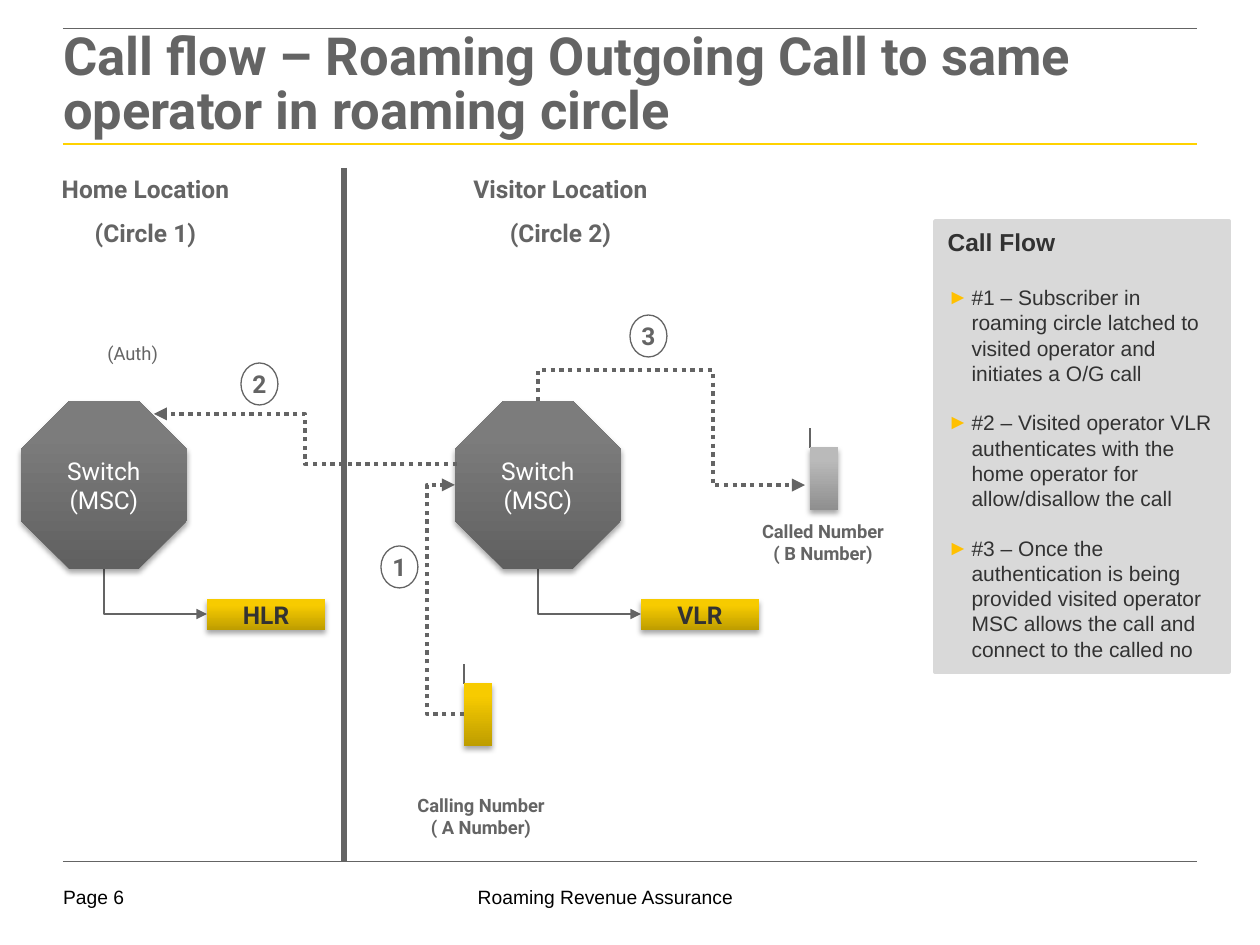
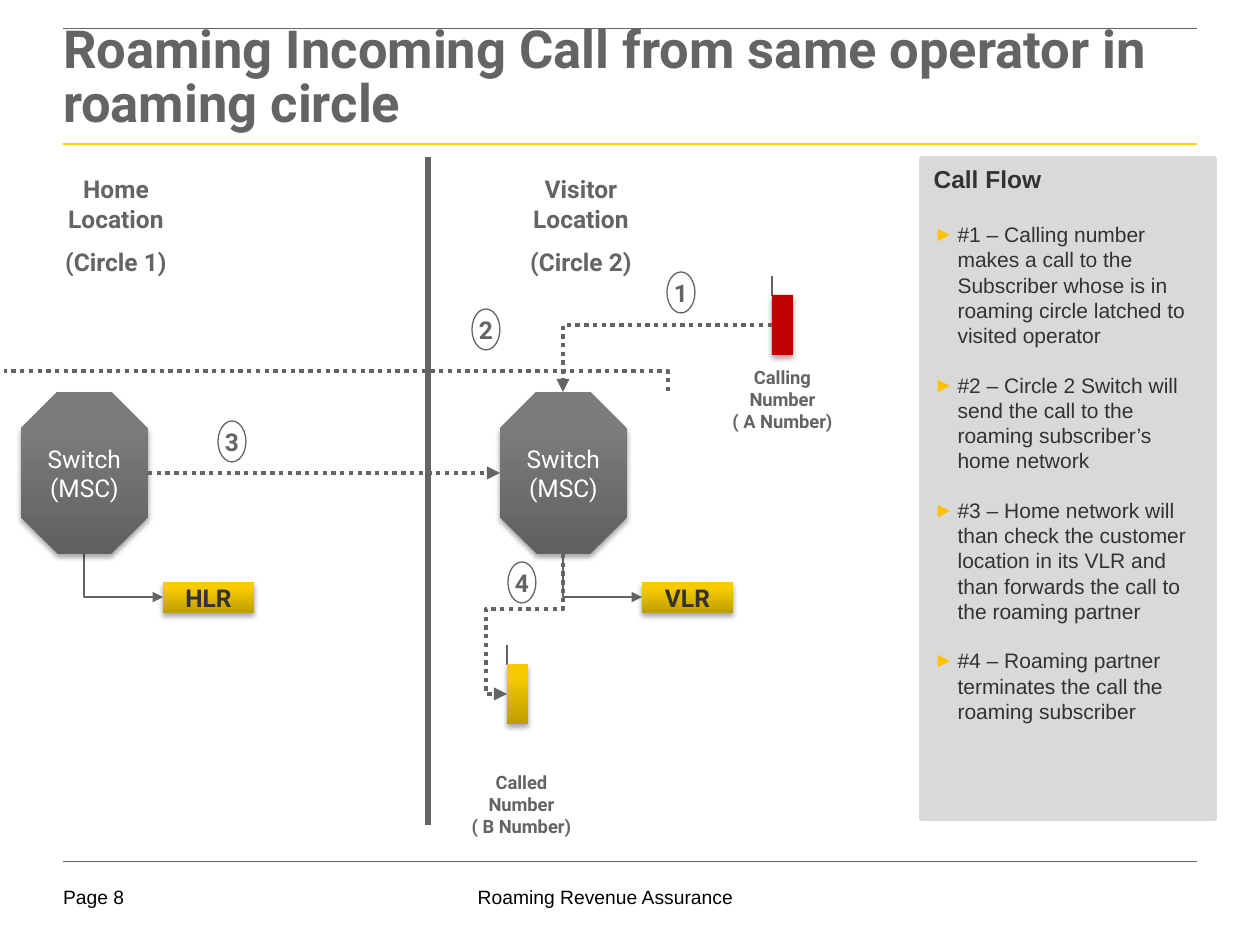
from lxml import etree
from pptx import Presentation
from pptx.dml.color import RGBColor
from pptx.enum.dml import MSO_LINE
from pptx.enum.shapes import MSO_CONNECTOR, MSO_SHAPE
from pptx.enum.text import MSO_ANCHOR, MSO_AUTO_SIZE, PP_ALIGN
from pptx.oxml.ns import qn
from pptx.util import Pt

PX = 7257  # EMU in one px, 126 px to the inch
OCTAGON, BAR, OVAL = MSO_SHAPE.OCTAGON, MSO_SHAPE.RECTANGLE, MSO_SHAPE.OVAL
LEFT, CENTER = PP_ALIGN.LEFT, PP_ALIGN.CENTER
STRAIGHT, ELBOW = MSO_CONNECTOR.STRAIGHT, MSO_CONNECTOR.ELBOW
DOTTED = MSO_LINE.ROUND_DOT


class Theme:
    GREY, RULE, PANEL, BULLET = "646464", "FFD200", "D9D9D9", "FFC000"
    # Fills: one colour, or bottom and top of a gradient
    STEEL, SILVER = ("606060", "7C7C7C"), ("8F8F8F", "BABABA")
    GOLD, RED = ("BE9D00", "F7CB00"), ("C00000",)
    # Text looks: font, size, colour, bold
    TITLE = ("Roboto", 30, GREY, True)
    HEADING = ("Roboto", 14, GREY, True)
    SWITCH = ("Roboto", 14, "FFFFFF", False)
    REGISTER = ("Roboto", 14, "323232", True)
    CAPTION = ("Roboto", 10.5, GREY, True)
    NOTE = ("Roboto", 10.5, GREY, False)
    LIST_HEAD = ("Arial", 14, "323232", True)
    LIST = ("Arial", 12, "323232", False)
    FOOTER = ("Arial", 11, "000000", False)


def style(para, look, align=CENTER, gap=0):
    font = para.font
    font.name, size, color, font.bold = look
    font.size = Pt(size)
    font.color.rgb = RGBColor.from_string(color)
    para.alignment = align
    para.space_before = Pt(gap)


def connect(page, points, width, color=Theme.GREY, dash=None, arrow=False):
    """Draw one connector through right-angled points, starting in either direction."""
    (x0, y0), (x1, y1) = points[0], points[-1]
    legs = len(points) - 1
    line = page.shapes.add_connector(
        STRAIGHT if legs == 1 else ELBOW, x0 * PX, y0 * PX, x1 * PX, y1 * PX)
    line.line.width = Pt(width)
    line.line.color.rgb = RGBColor.from_string(color)
    if dash:
        line.line.dash_style = dash
    props = line._element.spPr
    if legs > 1:
        vertical = points[1][0] == x0
        dx, dy = x1 - x0, y1 - y0
        if vertical:
            # A quarter turn makes the preset's first leg run up or down
            line.left, line.top = (x0 + x1 - abs(dy)) * PX // 2, (y0 + y1 - abs(dx)) * PX // 2
            line.width, line.height = abs(dy) * PX, abs(dx) * PX
            line.rotation = 90 if hasattr(type(line), "rotation") else 0
            frame = props.find(qn("a:xfrm"))
            frame.set("rot", "5400000")
            frame.set("flipH", str(int(dy < 0)))
            frame.set("flipV", str(int(dx > 0)))
        preset = props.find(qn("a:prstGeom"))
        preset.set("prst", f"bentConnector{legs}")
        guides = preset.find(qn("a:avLst"))
        for number in range(1, legs - 1):
            axis = (number - 1 + vertical) % 2
            start, end = points[0][axis], points[-1][axis]
            ratio = (points[number][axis] - start) / (end - start)
            etree.SubElement(guides, qn("a:gd"), name=f"adj{number}",
                             fmla=f"val {round(ratio * 100000)}")
    if arrow:
        etree.SubElement(line.line._get_or_add_ln(), qn("a:tailEnd"), type="triangle")
    etree.SubElement(props, qn("a:effectLst"))


PAGES = [
    dict(
        number=6, title_top=28,
        title="Call flow – Roaming Outgoing Call to same operator in roaming circle",
        divider=[(344, 168), (344, 861)],
        switch_lefts=(21, 455), switch_top=401, switch_size=(166, 168),
        register_offset=(186, 198), register_size=(118, 31),
        heading_lefts=(21, 436), heading_size=(249, 87),
        phone_size=(28, 63), caption_size=(184, 59),
        phones=[
            ((810, 447), Theme.SILVER, (731, 514), "Called Number\n( B Number)"),
            ((464, 683), Theme.GOLD, (389, 788), "Calling Number\n( A Number)"),
        ],
        step_size=(37, 42),
        steps=[("1", 381, 546), ("2", 241, 363), ("3", 630, 315)],
        notes=[((95, 336, 147, 35), "(Auth)")],
        routes=[
            ([(464, 714), (427, 714), (427, 485), (455, 485)], True),
            ([(457, 464), (305, 464), (305, 414), (154, 414)], True),
            ([(538, 401), (538, 370), (713, 370), (713, 485), (805, 485)], True),
        ],
        panel=(935, 221, 294, 451),
        flow=[
            "#1 – Subscriber in roaming circle latched to visited operator and initiates a O/G call",
            "#2 – Visited operator VLR authenticates with the home operator for allow/disallow the call",
            "#3 – Once the authentication is being provided visited operator MSC allows the call "
            "and connect to the called no",
        ],
    ),
    dict(
        number=8, title_top=21,
        title="Roaming Incoming Call from same operator in roaming circle",
        divider=[(428, 157), (428, 825)],
        switch_lefts=(21, 500), switch_top=392, switch_size=(127, 162),
        register_offset=(142, 190), register_size=(91, 31),
        heading_lefts=(21, 486), heading_size=(190, 83),
        phone_size=(21, 60), caption_size=(141, 57),
        phones=[
            ((772, 295), Theme.RED, (712, 360), "Calling Number\n( A Number)"),
            ((507, 664), Theme.GOLD, (451, 765), "Called Number\n( B Number)"),
        ],
        step_size=(28, 41),
        steps=[("1", 667, 272), ("2", 472, 309), ("3", 218, 421), ("4", 508, 562)],
        notes=[],
        routes=[
            ([(772, 325), (563, 325), (563, 392)], True),
            ([(668, 391), (668, 371), (4, 371)], False),
            ([(148, 473), (500, 473)], True),
            ([(563, 554), (563, 609), (486, 609), (486, 694), (507, 694)], True),
        ],
        panel=(921, 158, 294, 661),
        flow=[
            "#1 – Calling number makes a call to the Subscriber whose is in roaming circle "
            "latched to visited operator",
            "#2 – Circle 2 Switch will send the call to the roaming subscriber’s home network",
            "#3 – Home network will than check the customer location in its VLR and than "
            "forwards the call to the roaming partner",
            "#4 – Roaming partner terminates the call the roaming subscriber",
        ],
    ),
]

deck = Presentation()
deck.slide_width, deck.slide_height = 1260 * PX, 945 * PX
title_and_content = deck.slide_layouts[1]

for data in PAGES:
    page = deck.slides.add_slide(title_and_content)

    # Title, rules and footer
    title = page.shapes.title
    title.left, title.top, title.width, title.height = (
        v * PX for v in (63, data["title_top"], 1134, 118))
    frame = title.text_frame
    frame.text = data["title"]
    frame.auto_size = MSO_AUTO_SIZE.NONE
    frame.vertical_anchor = MSO_ANCHOR.TOP
    frame.margin_left = frame.margin_right = frame.margin_bottom = 0
    frame.margin_top = 5 * PX
    style(frame.paragraphs[0], Theme.TITLE, LEFT)
    frame.paragraphs[0].line_spacing = 0.85

    for y, color, width in ((28, Theme.GREY, 0.5), (144, Theme.RULE, 1.5), (861, Theme.GREY, 0.25)):
        connect(page, [(63, y), (1197, y)], width, color)
    for left, width, words, align in ((63, 92, f"Page {data['number']}", LEFT),
                                      (346, 519, "Roaming Revenue Assurance", CENTER)):
        box = page.shapes.add_textbox(left * PX, 885 * PX, width * PX, 28 * PX)
        frame = box.text_frame
        frame.word_wrap = True
        frame.margin_left = frame.margin_right = frame.margin_top = frame.margin_bottom = 0
        frame.text = words
        style(frame.paragraphs[0], Theme.FOOTER, align)

    # Call flow panel
    panel = page.placeholders[1]
    panel.left, panel.top, panel.width, panel.height = (v * PX for v in data["panel"])
    panel.fill.solid()
    panel.fill.fore_color.rgb = panel.line.color.rgb = RGBColor.from_string(Theme.PANEL)
    panel.line.width = Pt(2)
    frame = panel.text_frame
    frame.auto_size = MSO_AUTO_SIZE.NONE
    frame.vertical_anchor = MSO_ANCHOR.TOP
    frame.text = "\n".join(["Call Flow"] + data["flow"])
    for index, para in enumerate(frame.paragraphs):
        props = para._p.get_or_add_pPr()
        indent = 24 * PX if index else 0
        props.set("marL", str(indent))
        props.set("indent", str(-indent))
        if index:
            tint = etree.SubElement(props, qn("a:buClr"))
            etree.SubElement(tint, qn("a:srgbClr"), val=Theme.BULLET)
            etree.SubElement(props, qn("a:buFont"), typeface="Arial")
            etree.SubElement(props, qn("a:buChar"), char="►")
        else:
            etree.SubElement(props, qn("a:buNone"))
        gap = (0, 16)[index] if index < 2 else 14
        style(para, Theme.LIST if index else Theme.LIST_HEAD, LEFT, gap)

    # Solid shapes (kind, box, fill, words, look) and texts (box, words, look, align, gap)
    solids, texts = [], []
    switch_width, switch_height = data["switch_size"]
    across, down = data["register_offset"]
    connect(page, data["divider"], 3)
    for left, heading_left, place, register in zip(
            data["switch_lefts"], data["heading_lefts"],
            ("Home Location\n(Circle 1)", "Visitor Location\n(Circle 2)"), ("HLR", "VLR")):
        top = data["switch_top"]
        solids.append((OCTAGON, (left, top, switch_width, switch_height),
                       Theme.STEEL, "Switch\n(MSC)", Theme.SWITCH))
        solids.append((BAR, (left + across, top + down, *data["register_size"]),
                       Theme.GOLD, register, Theme.REGISTER))
        texts.append(((heading_left, 168, *data["heading_size"]), place, Theme.HEADING, CENTER, 8))
        middle = left + switch_width // 2
        level = top + down + data["register_size"][1] // 2
        connect(page, [(middle, top + switch_height), (middle, level), (left + across, level)],
                1.5, arrow=True)
    for (x, y), fill, caption_at, caption in data["phones"]:
        solids.append((BAR, (x, y, *data["phone_size"]), fill, "", Theme.CAPTION))
        texts.append(((*caption_at, *data["caption_size"]), caption, Theme.CAPTION, CENTER, 0))
        connect(page, [(x, y + 1), (x, y - 19)], 1.25)
    for box, note in data["notes"]:
        texts.append((box, note, Theme.NOTE, LEFT, 0))
    for number, x, y in data["steps"]:
        solids.append((OVAL, (x, y, *data["step_size"]), None, number, Theme.HEADING))

    for kind, box, fill, words, look in solids:
        shape = page.shapes.add_shape(kind, *(v * PX for v in box))
        shape.shadow.inherit = False
        if kind == OCTAGON:
            shape.adjustments[0] = 0.29
        if fill is None:
            shape.fill.background()
            shape.line.color.rgb = RGBColor.from_string(Theme.GREY)
            shape.line.width = Pt(0.75)
        else:
            shape.line.fill.background()
            if len(fill) == 1:
                shape.fill.solid()
                shape.fill.fore_color.rgb = RGBColor.from_string(fill[0])
            else:
                shape.fill.gradient()
                shape.fill.gradient_angle = 90
                for stop, color, position in zip(shape.fill.gradient_stops, fill, (0, 0.8)):
                    stop.color.rgb = RGBColor.from_string(color)
                    stop.position = position
            effects = shape._element.spPr.find(qn("a:effectLst"))
            shadow = etree.SubElement(effects, qn("a:outerShdw"), blurRad=str(Pt(3)),
                                      dist=str(Pt(2)), dir="5400000", rotWithShape="0")
            black = etree.SubElement(shadow, qn("a:srgbClr"), val="000000")
            etree.SubElement(black, qn("a:alpha"), val="35000")
        if words:
            frame = shape.text_frame
            frame.word_wrap = False
            frame.vertical_anchor = MSO_ANCHOR.MIDDLE
            frame.text = words
            for para in frame.paragraphs:
                style(para, look)

    for box, words, look, align, gap in texts:
        frame = page.shapes.add_textbox(*(v * PX for v in box)).text_frame
        frame.word_wrap = True
        frame.text = words
        for index, para in enumerate(frame.paragraphs):
            style(para, look, align, gap if index else 0)

    for points, arrow in data["routes"]:
        connect(page, points, 2.5, dash=DOTTED, arrow=arrow)

deck.save("out.pptx")
